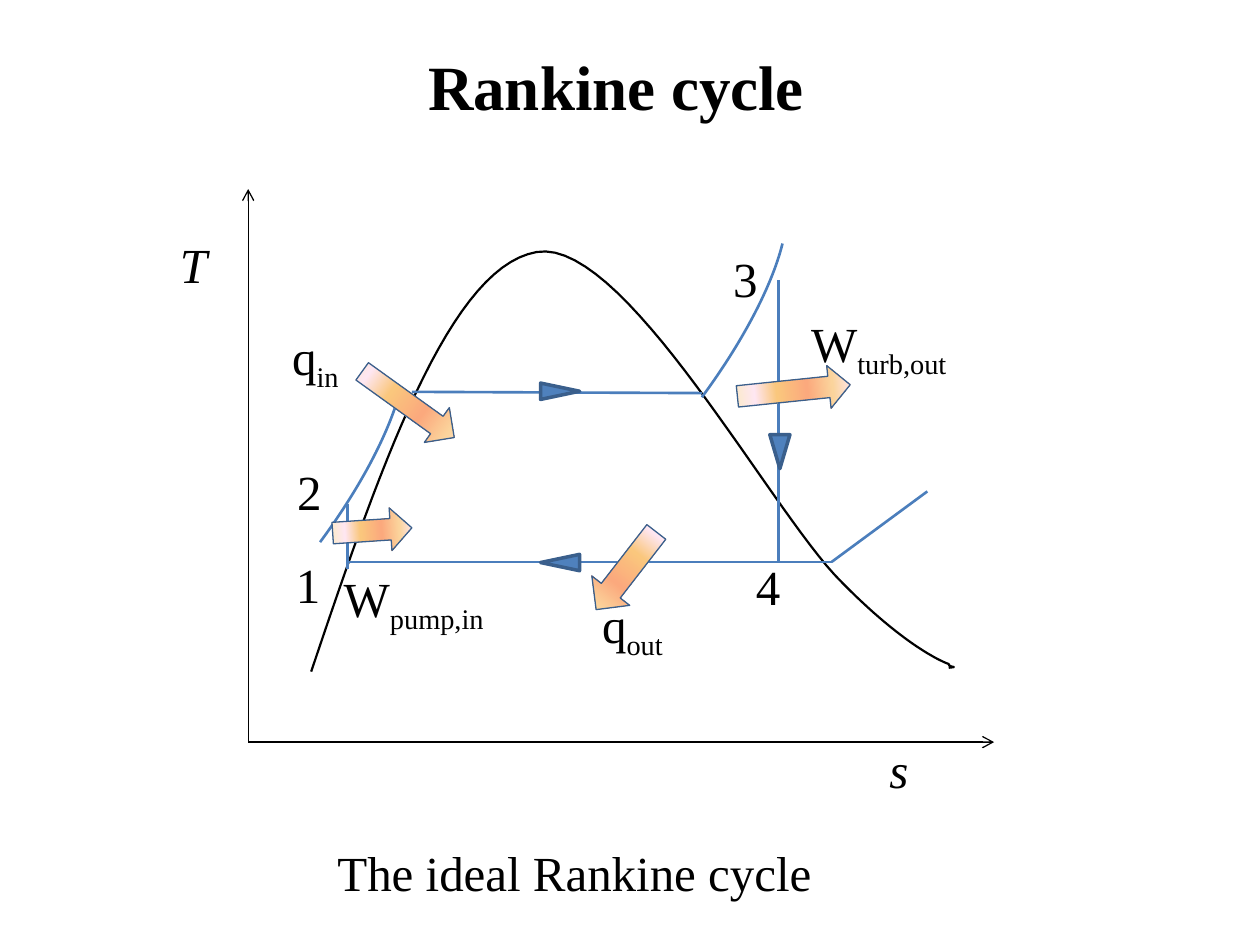
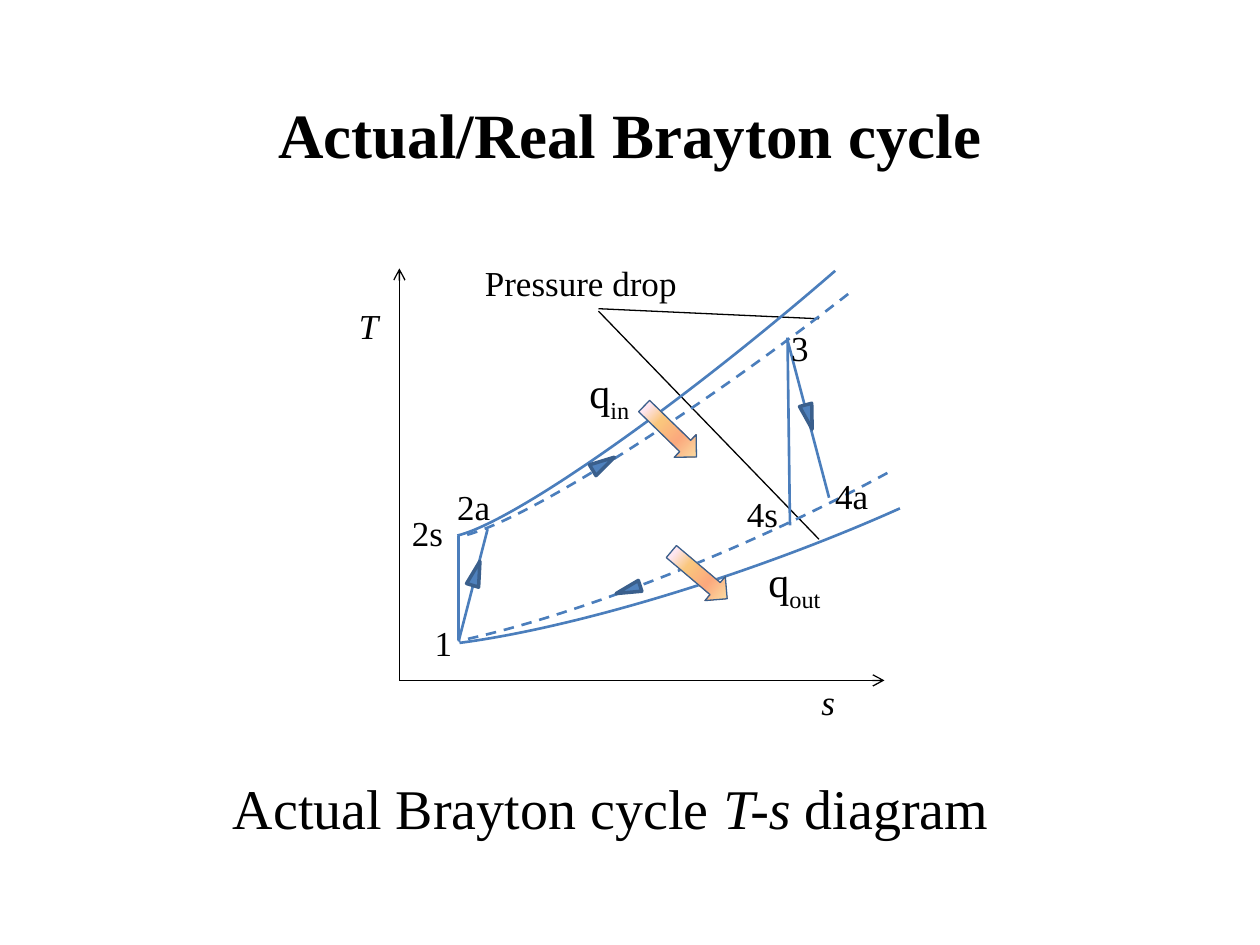
"""Build two slides with T-s diagrams of the Rankine and Brayton cycles."""
import pptx
import pptx.util
import pptx.dml.color
import pptx.enum.dml
import pptx.enum.shapes
import pptx.enum.text
import pptx.oxml.ns
import lxml.etree

Inches = pptx.util.Inches
Pt = pptx.util.Pt
RGBColor = pptx.dml.color.RGBColor
Preset = pptx.enum.shapes.MSO_SHAPE
qn = pptx.oxml.ns.qn

BLACK = RGBColor(0x00, 0x00, 0x00)
CYCLE_BLUE = RGBColor(0x4B, 0x7E, 0xBC)
MARKER_FILL = RGBColor(0x4F, 0x81, 0xBD)
MARKER_EDGE = RGBColor(0x3A, 0x5F, 0x8C)
HEAT_STOPS = [
    (0, RGBColor(0xFB, 0xEA, 0xC7)),
    (18, RGBColor(0xFE, 0xE7, 0xF2)),
    (36, RGBColor(0xFA, 0xC7, 0x7D)),
    (61, RGBColor(0xFB, 0xA9, 0x7D)),
    (82, RGBColor(0xFB, 0xD4, 0x9C)),
    (100, RGBColor(0xFE, 0xE7, 0xF2)),
]
FONT = "Times New Roman"
CURVE_STEPS = 30


def add_label(page, left, top, width, size, parts):
    """Add text whose parts are (text, style) pairs; return its paragraph."""
    height = size * 1.2 / 72 + 0.1
    box = page.shapes.add_textbox(Inches(left), Inches(top), Inches(width), Inches(height))
    box.text_frame.word_wrap = True
    para = box.text_frame.paragraphs[0]
    for text, style in parts:
        span = para.add_run()
        span.text = text
        span.font.name = FONT
        span.font.size = Pt(size)
        span.font.color.rgb = BLACK
        span.font.bold = style == "bold"
        span.font.italic = style == "italic"
        if style == "sub":
            span.font._element.set("baseline", "-25000")
    return para


def add_outline(page, preset, box, turn, color, weight):
    """Add a rotated preset shape with a plain outline and no shadow."""
    shape = page.shapes.add_shape(preset, *[Inches(length) for length in box])
    shape.rotation = turn
    shape.shadow.inherit = False
    shape.line.color.rgb = color
    shape.line.width = Pt(weight)
    return shape


deck = pptx.Presentation()
deck.slide_width = Inches(10)
deck.slide_height = Inches(7.5)
rankine = deck.slides.add_slide(deck.slide_layouts[6])
brayton = deck.slides.add_slide(deck.slide_layouts[6])

titles = [
    (rankine, 0.39, 0.33, "Rankine cycle"),
    (brayton, 0.5, 0.71, "Actual/Real Brayton cycle"),
]
for page, left, top, title in titles:
    para = add_label(page, left, top, 9, 36, [(title, "bold")])
    para.alignment = pptx.enum.text.PP_ALIGN.CENTER

dome_start = (2.47, 5.33)
dome_curves = [
    [(3.01, 3.73), (3.56, 2.12), (4.26, 2)],
    [(4.96, 1.88), (6.13, 4.08), (6.68, 4.62)],
    [(7.22, 5.17), (7.53, 5.27), (7.53, 5.27)],
    [(7.53, 5.3), (7.62, 5.29), (7.53, 5.3)],
]
dome_points = []
start = dome_start
for first, second, end in dome_curves:
    for step in range(1, CURVE_STEPS + 1):
        t = step / CURVE_STEPS
        dome_points.append([
            Inches((1 - t) ** 3 * a + 3 * t * (1 - t) ** 2 * b + 3 * t * t * (1 - t) * c + t ** 3 * d)
            for a, b, c, d in zip(start, first, second, end)
        ])
    start = end
builder = rankine.shapes.build_freeform(*[Inches(length) for length in dome_start])
builder.add_line_segments(dome_points, close=False)
dome = builder.convert_to_shape()
dome.fill.background()
dome.line.color.rgb = BLACK
dome.line.width = Pt(1.25)
dome.shadow.inherit = False

axes = [
    (rankine, 1.97, 5.89, 7.89, 5.89),
    (rankine, 1.97, 5.89, 1.97, 1.5),
    (brayton, 3.17, 5.4, 7.02, 5.4),
    (brayton, 3.17, 5.4, 3.17, 2.13),
]
pointers = [
    (brayton, 6.5, 4.28, 4.75, 2.47),
    (brayton, 6.5, 2.53, 4.75, 2.45),
]
processes = [
    (rankine, 2.76, 4.52, 2.76, 4),
    (rankine, 2.76, 4.46, 6.6, 4.46),
    (rankine, 6.6, 4.46, 7.36, 3.9),
    (rankine, 3.27, 3.11, 5.57, 3.12),
    (rankine, 6.18, 4.46, 6.18, 2.22),
    (brayton, 6.27, 4.17, 6.25, 2.68),
    (brayton, 3.64, 5.08, 3.64, 4.25),
    (brayton, 6.58, 3.95, 6.25, 2.7),
    (brayton, 3.64, 5.09, 3.87, 4.2),
]
line_groups = [
    (axes, BLACK, 0.75, True),
    (pointers, BLACK, 0.75, False),
    (processes, CYCLE_BLUE, 1.5, False),
]
for lines, color, weight, has_head in line_groups:
    for page, *ends in lines:
        line = page.shapes.add_connector(
            pptx.enum.shapes.MSO_CONNECTOR.STRAIGHT, *[Inches(length) for length in ends])
        line.line.color.rgb = color
        line.line.width = Pt(weight)
        if has_head:
            lxml.etree.SubElement(line.line._get_or_add_ln(), qn("a:tailEnd"), type="arrow")
        lxml.etree.SubElement(line._element.spPr, qn("a:effectLst"))

isobars = [
    (rankine, (1.62, 2.32, 1.02, 3.36), 36.5, 169.427, 0, False),
    (rankine, (4.65, 1.17, 1.02, 3.36), 36.5, 169.427, 0, False),
    (brayton, (2.48, 3.22, 6.24, 1.17), 156.5, 120.878, 210.201, True),
    (brayton, (2.58, 3.39, 6.24, 1.17), 160.9, 120.878, 210.201, False),
    (brayton, (2.78, 1.86, 6.25, 0.78), 140.5, 126.951, 214.912, False),
    (brayton, (2.9, 1.99, 6.25, 0.78), 143.5, 127.626, 214.912, True),
]
for page, box, turn, arc_start, arc_end, dashed in isobars:
    isobar = add_outline(page, Preset.ARC, box, turn, CYCLE_BLUE, 1.5)
    isobar.adjustments[0] = arc_start
    isobar.adjustments[1] = arc_end
    isobar.fill.background()
    if dashed:
        isobar.line.dash_style = pptx.enum.dml.MSO_LINE.DASH

flow_markers = [
    (rankine, (4.38, 4.31, 0.13, 0.31), 90),
    (rankine, (4.38, 2.95, 0.13, 0.31), 270),
    (rankine, (6.11, 3.45, 0.16, 0.27), 0),
    (brayton, (6.37, 3.21, 0.1, 0.2), 345),
    (brayton, (4.74, 3.58, 0.1, 0.2), 239),
    (brayton, (4.94, 4.58, 0.09, 0.2), 72),
    (brayton, (3.73, 4.45, 0.1, 0.2), 197),
]
for page, box, turn in flow_markers:
    marker = add_outline(page, Preset.FLOWCHART_MERGE, box, turn, MARKER_EDGE, 2)
    marker.fill.solid()
    marker.fill.fore_color.rgb = MARKER_FILL

energy_arrows = [
    (rankine, (2.79, 3.04, 0.9, 0.34), 35.7),
    (rankine, (4.58, 4.34, 0.78, 0.38), 127.8),
    (rankine, (5.85, 2.93, 0.9, 0.34), 354.1),
    (rankine, (2.64, 4.04, 0.63, 0.34), 356.2),
    (brayton, (5.26, 4.44, 0.58, 0.25), 40.2),
    (brayton, (5.03, 3.3, 0.58, 0.25), 44.2),
]
for page, box, turn in energy_arrows:
    arrow = add_outline(page, Preset.RIGHT_ARROW, box, turn, MARKER_EDGE, 0.75)
    arrow.fill.gradient()
    arrow.fill.gradient_angle = 0
    stops = arrow._element.spPr.find(qn("a:gradFill")).find(qn("a:gsLst"))
    for stop in list(stops):
        stops.remove(stop)
    for percent, color in HEAT_STOPS:
        stop = lxml.etree.SubElement(stops, qn("a:gs"), pos=str(percent * 1000))
        lxml.etree.SubElement(stop, qn("a:srgbClr"), val=str(color))

plain_labels = [
    (rankine, 2.25, 4.35, 0.64, 28, "1"),
    (rankine, 2.26, 3.61, 0.64, 28, "2"),
    (rankine, 5.72, 1.92, 0.4, 28, "3"),
    (rankine, 5.9, 4.37, 0.47, 28, "4"),
    (rankine, 2.58, 6.64, 4.3, 28, "The ideal Rankine cycle"),
    (brayton, 3.35, 4.88, 0.42, 20, "1"),
    (brayton, 3.17, 4.01, 0.58, 20, "2s"),
    (brayton, 3.53, 3.8, 0.58, 20, "2a"),
    (brayton, 6.18, 2.54, 0.34, 20, "3"),
    (brayton, 5.83, 3.86, 0.5, 20, "4s"),
    (brayton, 6.53, 3.72, 0.58, 20, "4a"),
    (brayton, 3.75, 2.03, 2, 20, "Pressure drop"),
]
for page, left, top, width, size, text in plain_labels:
    add_label(page, left, top, width, size, [(text, "plain")])

axis_names = [
    (rankine, 6.96, 5.82, 0.35, 28, "s"),
    (rankine, 1.33, 1.81, 0.42, 28, "T"),
    (brayton, 6.42, 5.35, 0.31, 20, "s"),
    (brayton, 2.75, 2.37, 0.36, 20, "T"),
]
for page, left, top, width, size, text in axis_names:
    add_label(page, left, top, width, size, [(text, "italic")])

energy_labels = [
    (rankine, 2.63, 4.46, 2.17, 28, "W", "pump,in"),
    (rankine, 6.34, 2.44, 2.17, 28, "W", "turb,out"),
    (rankine, 2.22, 2.54, 1.02, 28, "q", "in"),
    (rankine, 4.68, 4.67, 1.15, 28, "q", "out"),
    (brayton, 4.58, 2.86, 0.75, 24, "q", "in"),
    (brayton, 6, 4.36, 0.75, 24, "q", "out"),
]
for page, left, top, width, size, symbol, subscript in energy_labels:
    add_label(page, left, top, width, size, [(symbol, "plain"), (subscript, "sub")])

add_label(brayton, 1.75, 6.09, 7, 32,
          [("Actual Brayton cycle ", "plain"), ("T-s", "italic"), (" diagram", "plain")])

deck.save("out.pptx")
